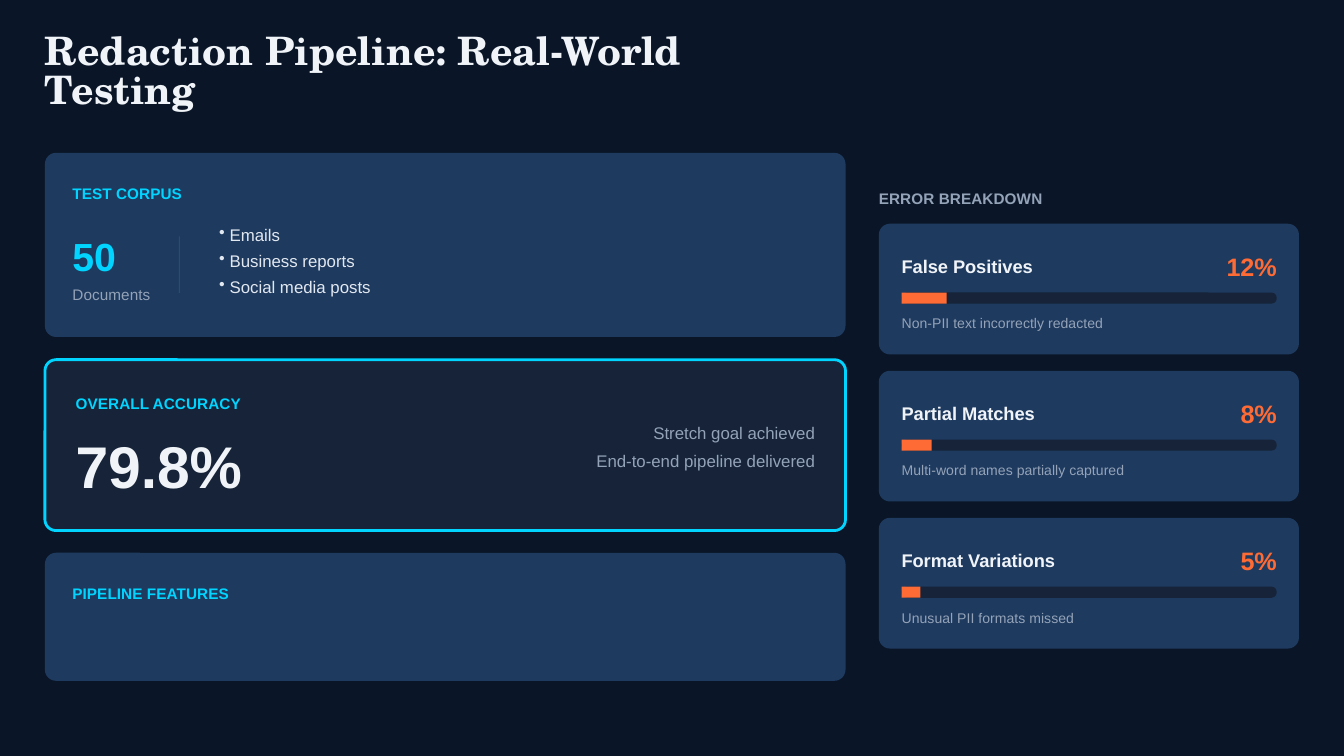
from pptx import Presentation
from pptx.dml.color import RGBColor
from pptx.enum.shapes import MSO_SHAPE
from pptx.enum.text import PP_ALIGN
from pptx.oxml.ns import qn
from pptx.util import Cm, Pt
from lxml.etree import SubElement

NAVY = RGBColor(0x0A, 0x16, 0x28)
PANEL = RGBColor(0x1E, 0x3A, 0x5F)
DARK = RGBColor(0x16, 0x23, 0x38)
RULE = RGBColor(0x2D, 0x4A, 0x6F)
CYAN = RGBColor(0x00, 0xD4, 0xFF)
ORANGE = RGBColor(0xFF, 0x6B, 0x35)
WHITE = RGBColor(0xF0, 0xF4, 0xF8)
LIGHT = RGBColor(0xE2, 0xE8, 0xF0)
GREY = RGBColor(0x94, 0xA3, 0xB8)

presentation = Presentation()
presentation.slide_width, presentation.slide_height = Cm(25.4), Cm(14.29)
slide = presentation.slides.add_slide(presentation.slide_layouts[6])
slide.background.fill.solid()
slide.background.fill.fore_color.rgb = NAVY


def add_box(x, y, width, height, fill, radius=0):
    kind = MSO_SHAPE.ROUNDED_RECTANGLE if radius else MSO_SHAPE.RECTANGLE
    box = slide.shapes.add_shape(kind, Cm(x), Cm(y), Cm(width), Cm(height))
    if radius:
        box.adjustments[0] = radius / min(width, height)
    box.shadow.inherit = False
    box.fill.solid()
    box.fill.fore_color.rgb = fill
    box.line.fill.background()
    return box


def add_text(x, y, width, height, lines, size, color, bold=False, font="Arial",
             leading=1.4, before=0, align=PP_ALIGN.LEFT):
    frame = slide.shapes.add_textbox(Cm(x), Cm(y), Cm(width), Cm(height)).text_frame
    frame.word_wrap = True
    frame.margin_left = frame.margin_right = frame.margin_top = frame.margin_bottom = 0
    for index, line in enumerate(lines):
        paragraph = frame.paragraphs[0] if index == 0 else frame.add_paragraph()
        paragraph.alignment = align
        paragraph.line_spacing = Pt(size * leading)
        paragraph.space_before = Pt(before)
        run = paragraph.add_run()
        run.text = line
        run.font.name = font
        run.font.size = Pt(size)
        run.font.bold = bold
        run.font.color.rgb = color
    return frame


# Title
add_text(0.85, 0.64, 12.8, 0.74, ["Redaction Pipeline: Real-World Testing"],
         21, WHITE, True, "TeX Gyre Schola", leading=1)

# Test corpus
add_box(0.85, 2.89, 15.13, 3.48, PANEL, 0.21)
add_text(1.37, 3.43, 14.35, 0.41, ["TEST CORPUS"], 8.25, CYAN, True)
add_text(1.37, 4.24, 1.6, 1.04, ["50"], 21, CYAN, True)
add_text(1.37, 5.33, 1.6, 0.41, ["Documents"], 8.25, GREY, before=1.5)
add_box(3.38, 4.47, 0.02, 1.07, RULE)
sources = add_text(3.94, 4.14, 3.2, 1.7, ["Emails", "Business reports", "Social media posts"],
                   9, LIGHT, leading=1.55)
sources.margin_left = Cm(0.2)
for paragraph in sources.paragraphs:
    properties = paragraph._p.get_or_add_pPr()
    properties.set("marL", str(Cm(0.2)))
    properties.set("indent", str(-Cm(0.2)))
    SubElement(properties, qn("a:buChar")).set("char", "•")

# Overall accuracy
accuracy = add_box(0.85, 6.8, 15.13, 3.23, DARK, 0.21)
accuracy.line.color.rgb = CYAN
accuracy.line.width = Pt(1.5)
add_text(1.43, 7.39, 3.61, 0.41, ["OVERALL ACCURACY"], 8.25, CYAN, True)
add_text(1.43, 7.9, 3.61, 1.55, ["79.8%"], 31.5, WHITE, True, before=3)
add_text(11.18, 7.93, 4.22, 0.44, ["Stretch goal achieved"], 9, GREY, align=PP_ALIGN.RIGHT)
add_text(11.18, 8.46, 4.22, 0.44, ["End-to-end pipeline delivered"], 9, GREY,
         before=3, align=PP_ALIGN.RIGHT)

# Pipeline features
add_box(0.85, 10.45, 15.13, 2.42, PANEL, 0.21)
add_text(1.37, 10.98, 14.35, 0.41, ["PIPELINE FEATURES"], 8.25, CYAN, True)

# Error breakdown: one card per error type, bar filled to its share
add_text(16.61, 3.51, 8.1, 0.41, ["ERROR BREAKDOWN"], 8.25, GREY, True)
errors = [
    ("False Positives", 12, "Non-PII text incorrectly redacted"),
    ("Partial Matches", 8, "Multi-word names partially captured"),
    ("Format Variations", 5, "Unusual PII formats missed"),
]
BAR_WIDTH = 7.09
for index, (error, percent, explanation) in enumerate(errors):
    top = 4.23 + 2.78 * index
    add_box(16.61, top, 7.94, 2.47, PANEL, 0.21)
    add_text(17.04, top + 0.52, 3, 0.48, [error], 9.75, WHITE, True)
    add_text(23.13, top + 0.43, 1, 0.66, [f"{percent}%"], 13.5, ORANGE, True,
             align=PP_ALIGN.RIGHT)
    add_box(17.04, top + 1.3, BAR_WIDTH, 0.21, DARK, 0.1)
    add_box(17.04, top + 1.3, BAR_WIDTH * percent / 100, 0.21, ORANGE)
    add_text(17.04, top + 1.67, 7.23, 0.38, [explanation], 7.5, GREY, before=4.5)

presentation.save("out.pptx")
